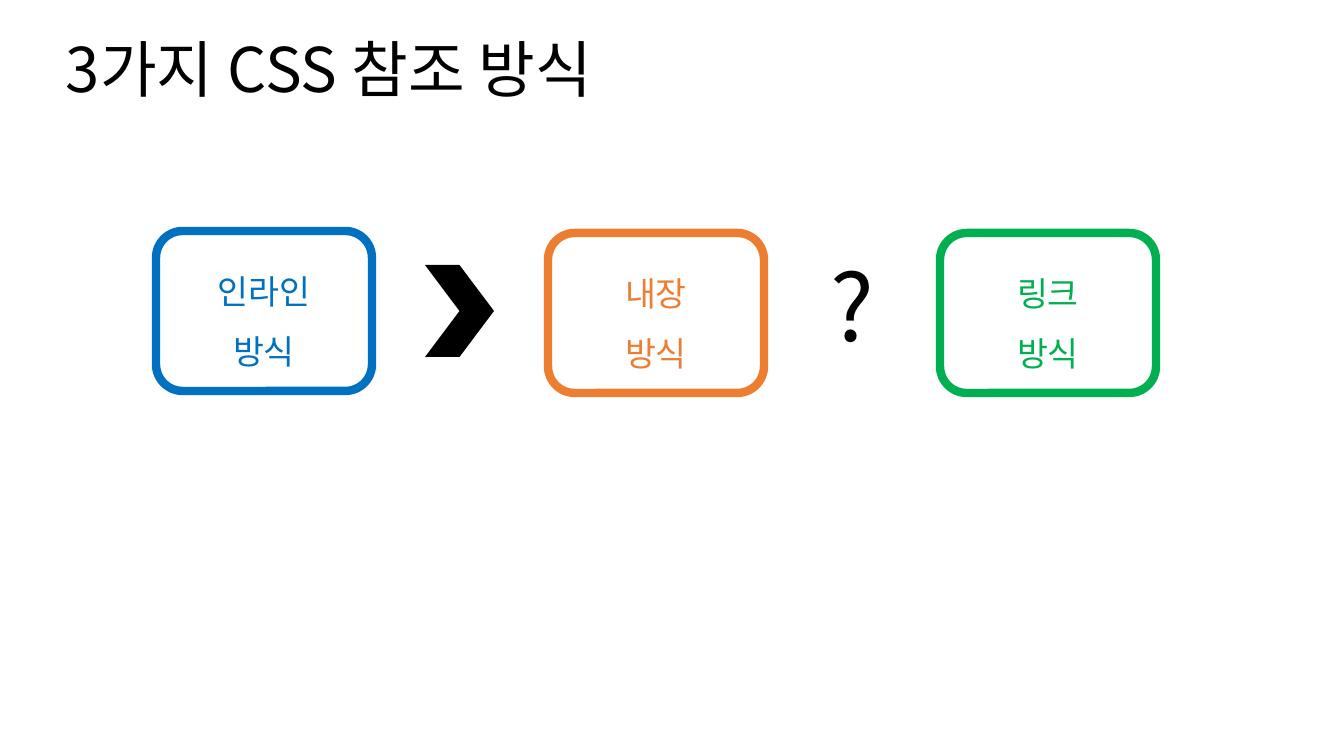
from lxml.etree import SubElement
from pptx import Presentation
from pptx.dml.color import RGBColor
from pptx.enum.shapes import MSO_SHAPE
from pptx.enum.text import MSO_ANCHOR, PP_ALIGN
from pptx.oxml.ns import qn
from pptx.util import Emu, Pt

SCALE = 914400 / 100.8
FACE = "Noto Sans CJK KR"
BLACK = "000000"


def px(*sizes):
    """Turn pixel lengths into EMU."""
    return [Emu(round(size * SCALE)) for size in sizes]


def paint(color, code):
    """Set a colour from a hex string."""
    color.rgb = RGBColor.from_string(code)


def assign(target, values):
    """Set attributes from a dict."""
    for name, value in values.items():
        setattr(target, name, value)


def write(shape, lines, size, code, space, align):
    """Fill a shape with centred-anchored lines of text."""
    frame = shape.text_frame
    assign(frame, {"word_wrap": True, "vertical_anchor": MSO_ANCHOR.MIDDLE})
    for index, line in enumerate(lines):
        para = frame.add_paragraph() if index else frame.paragraphs[0]
        assign(para, {"alignment": align, "line_spacing": space})
        run = para.add_run()
        run.text = line
        assign(run.font, {"size": Pt(size), "name": FACE})
        paint(run.font.color, code)
        SubElement(run.font._element, qn("a:ea"), typeface=FACE)


def label(slide, area, text, size, align):
    """Add a black line of text."""
    box = slide.shapes.add_textbox(*px(*area))
    write(box, [text], size, BLACK, 0.9, align)


def card(slide, area, lines, code):
    """Add a rounded outline with coloured text."""
    shape = slide.shapes.add_shape(MSO_SHAPE.ROUNDED_RECTANGLE, *px(*area))
    shape.shadow.inherit = False
    shape.fill.background()
    shape.line.width = Pt(6)
    paint(shape.line.color, code)
    write(shape, lines, 24, code, 1.5, PP_ALIGN.CENTER)


def chevron(slide, area):
    """Add a solid black chevron."""
    shape = slide.shapes.add_shape(MSO_SHAPE.CHEVRON, *px(*area))
    shape.shadow.inherit = False
    shape.fill.solid()
    paint(shape.fill.fore_color, BLACK)
    shape.line.fill.background()


def main():
    """Build and save the slide."""
    deck = Presentation()
    wide, high = px(1344, 756)
    assign(deck, {"slide_width": wide, "slide_height": high})
    slide = deck.slides.add_slide(deck.slide_layouts[6])
    label(slide, (56, 0, 1241, 146), "3가지 CSS 참조 방식", 44, PP_ALIGN.LEFT)
    cards = [("인라인", "0070C0", 231), ("내장", "ED7D31", 233), ("링크", "00B050", 233)]
    for index, (name, code, top) in enumerate(cards):
        card(slide, (156 + 392 * index, top, 216, 160), [name, "방식"], code)
    chevron(slide, (425, 265, 69, 92))
    label(slide, (815, 239, 74, 146), "?", 66, PP_ALIGN.CENTER)
    deck.save("out.pptx")


if __name__ == "__main__":
    main()
